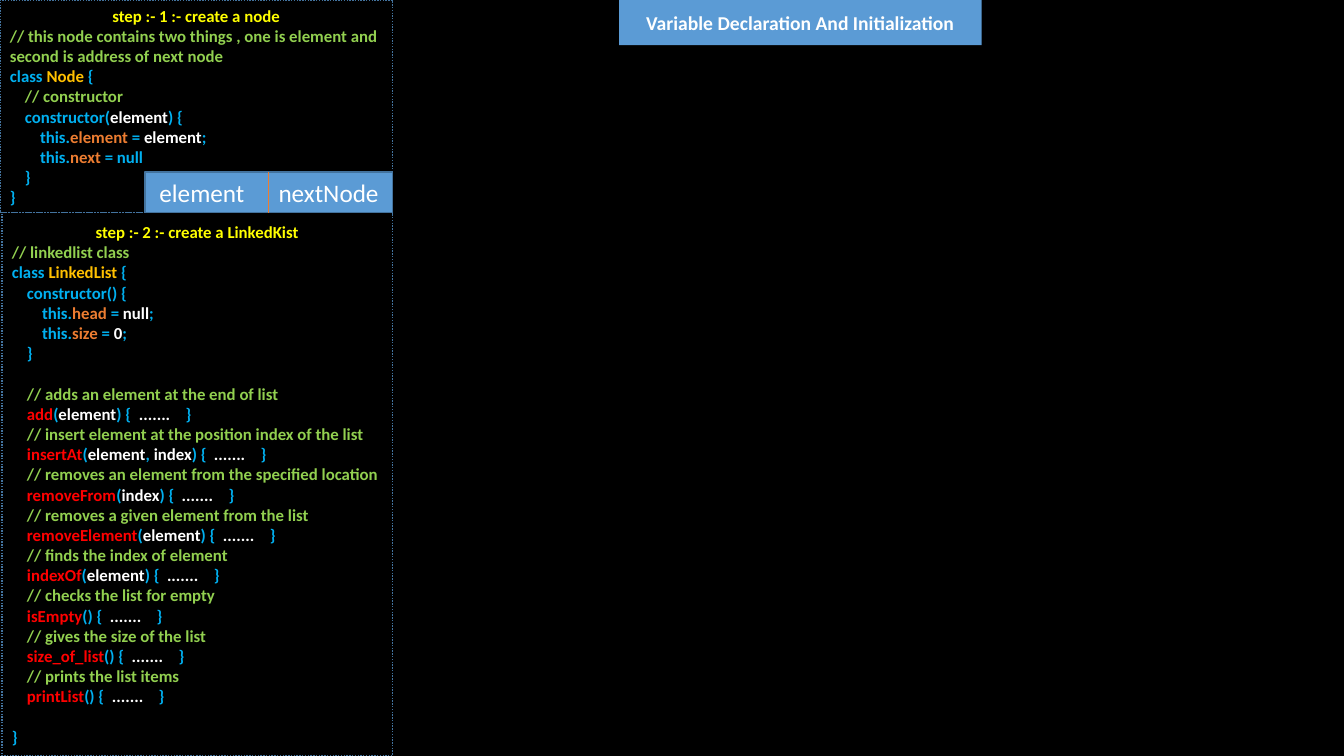
from lxml.etree import SubElement
from pptx import Presentation
from pptx.dml.color import RGBColor
from pptx.enum.dml import MSO_LINE
from pptx.enum.shapes import MSO_CONNECTOR, MSO_SHAPE
from pptx.enum.text import MSO_ANCHOR, MSO_AUTO_SIZE, PP_ALIGN
from pptx.oxml.ns import qn
from pptx.util import Cm, Pt

BLUE, BORDER, WHITE = "5B9BD5", "43739E", "FFFFFF"
CODE, COMMENT, HEADING = "00B0F0", "92D050", "FFFF00"
CLASS, FIELD, METHOD = "FFC000", "ED7D31", "FF0000"
INDENT = 0.38        # one code level, cm
BLANK_LINE = 14.65   # points
BRACE_GAP = 1.18     # from the dots to the closing brace, cm


def paint(color_format, color):
    color_format.rgb = RGBColor.from_string(color)


def fill_with(shape, color):
    shape.fill.solid()
    paint(shape.fill.fore_color, color)


def add_box(slide, box):
    shape = slide.shapes.add_shape(MSO_SHAPE.RECTANGLE, *(Cm(value) for value in box))
    shape.shadow.inherit = False
    shape.line.width = Pt(1)
    paint(shape.line.color, BORDER)
    shape.text_frame.word_wrap = True
    shape.text_frame.vertical_anchor = MSO_ANCHOR.MIDDLE
    return shape


def set_tabs(paragraph, positions):
    tab_list = SubElement(paragraph._p.get_or_add_pPr(), qn("a:tabLst"))
    for position in positions:
        SubElement(tab_list, qn("a:tab"), pos=str(int(Cm(position))), algn="l")


def write_paragraph(paragraph, runs, size, bold=True, align=PP_ALIGN.LEFT):
    paragraph.alignment = align
    paragraph.font.name = "Calibri"
    paragraph.font.size = Pt(size)
    paragraph.font.bold = bold
    for text, color in runs:
        run = paragraph.add_run()
        run.text = text
        paint(run.font.color, color)


def add_title(slide, box):
    title = slide.shapes.title
    title.left, title.top, title.width, title.height = (Cm(value) for value in box)
    fill_with(title, BLUE)
    frame = title.text_frame
    frame.auto_size = MSO_AUTO_SIZE.NONE
    frame.vertical_anchor = MSO_ANCHOR.MIDDLE
    write_paragraph(frame.paragraphs[0], [("Variable Declaration And Initialization", WHITE)],
                    14, align=PP_ALIGN.CENTER)


def add_code_panel(slide, box, heading, lines):
    """Each line is (level, runs, tab stops, blank line before)."""
    panel = add_box(slide, box)
    panel.fill.background()
    panel.line.dash_style = MSO_LINE.ROUND_DOT
    frame = panel.text_frame
    write_paragraph(frame.paragraphs[0], [(heading, HEADING)], 12, align=PP_ALIGN.CENTER)
    for level, runs, tabs, blank_before in lines:
        paragraph = frame.add_paragraph()
        if level:
            paragraph._p.get_or_add_pPr().set("marL", str(int(Cm(level * INDENT))))
        if blank_before:
            paragraph.space_before = Pt(BLANK_LINE)
        if tabs:
            set_tabs(paragraph, tabs)
        write_paragraph(paragraph, runs, 12)


def add_node_diagram(slide, box):
    left, top, width, height = box
    node = add_box(slide, box)
    fill_with(node, BLUE)
    node.text_frame.margin_left = Cm(0.36)
    paragraph = node.text_frame.paragraphs[0]
    set_tabs(paragraph, [3])
    write_paragraph(paragraph, [("element\tnextNode", WHITE)], 18, bold=False)

    middle = Cm(left + width / 2)
    divider = slide.shapes.add_connector(MSO_CONNECTOR.STRAIGHT, middle, Cm(top),
                                         middle, Cm(top + height))
    divider.line.width = Pt(0.5)
    paint(divider.line.color, FIELD)
    SubElement(divider._element.spPr, qn("a:effectLst"))


# Code lines
def code_line(level, *runs, tabs=(), blank_before=False):
    return level, runs, tabs, blank_before


def assignment(field, value):
    return code_line(2, ("this.", CODE), (field + " ", FIELD), ("= ", CODE),
                     (value, WHITE), (";", CODE))


def class_line(name):
    return code_line(0, ("class ", CODE), (name + " ", CLASS), ("{", CODE))


def method_lines(comment, name, arguments, dots_at, blank_before):
    signature = [(name, METHOD), ("(", CODE)]
    for number, argument in enumerate(arguments):
        if number:
            signature.append((", ", CODE))
        signature.append((argument, WHITE))
    signature += [(") {\t", CODE), (".......\t", WHITE), ("}", CODE)]
    # Tab stops count from the paragraph's indent
    stops = [dots_at - INDENT, dots_at - INDENT + BRACE_GAP]
    return [code_line(1, ("// " + comment, COMMENT), blank_before=blank_before),
            code_line(1, *signature, tabs=stops)]


node_lines = [
    code_line(0, ("// this node contains two things , one is element and "
                  "second is address of next node", COMMENT)),
    class_line("Node"),
    code_line(1, ("// constructor", COMMENT)),
    code_line(1, ("constructor(", CODE), ("element", WHITE), (") {", CODE)),
    assignment("element", "element"),
    code_line(2, ("this.", CODE), ("next ", FIELD), ("= null", CODE)),
    code_line(1, ("}", CODE)),
    code_line(0, ("}", CODE)),
]

# Comment, name, arguments, position of the dots in cm
methods = [
    ("adds an element at the end of list", "add", ["element"], 3.2),
    ("insert element at the position index of the list", "insertAt", ["element", "index"], 5.09),
    ("removes an element from the specified location", "removeFrom", ["index"], 4.28),
    ("removes a given element from the list", "removeElement", ["element"], 5.32),
    ("finds the index of element", "indexOf", ["element"], 3.91),
    ("checks the list for empty", "isEmpty", [], 2.47),
    ("gives the size of the list", "size_of_list", [], 3.02),
    ("prints the list items", "printList", [], 2.52),
]
list_lines = [
    code_line(0, ("// linkedlist class", COMMENT)),
    class_line("LinkedList"),
    code_line(1, ("constructor() {", CODE)),
    assignment("head", "null"),
    assignment("size", "0"),
    code_line(1, ("}", CODE)),
]
for number, method in enumerate(methods):
    list_lines += method_lines(*method, blank_before=number == 0)
list_lines.append(code_line(0, ("}", CODE), blank_before=True))

# Slide
presentation = Presentation()
presentation.slide_width, presentation.slide_height = Cm(33.87), Cm(19.05)
slide = presentation.slides.add_slide(presentation.slide_layouts[5])
fill_with(slide.background, "000000")

add_title(slide, (15.6, 0, 9.14, 1.14))
add_code_panel(slide, (0, 0, 9.89, 5.36), "step :- 1 :- create a node", node_lines)
add_node_diagram(slide, (3.66, 4.34, 6.23, 1.02))
add_code_panel(slide, (0.05, 5.36, 9.84, 13.69), "step :- 2 :- create a LinkedKist", list_lines)

presentation.save("out.pptx")
